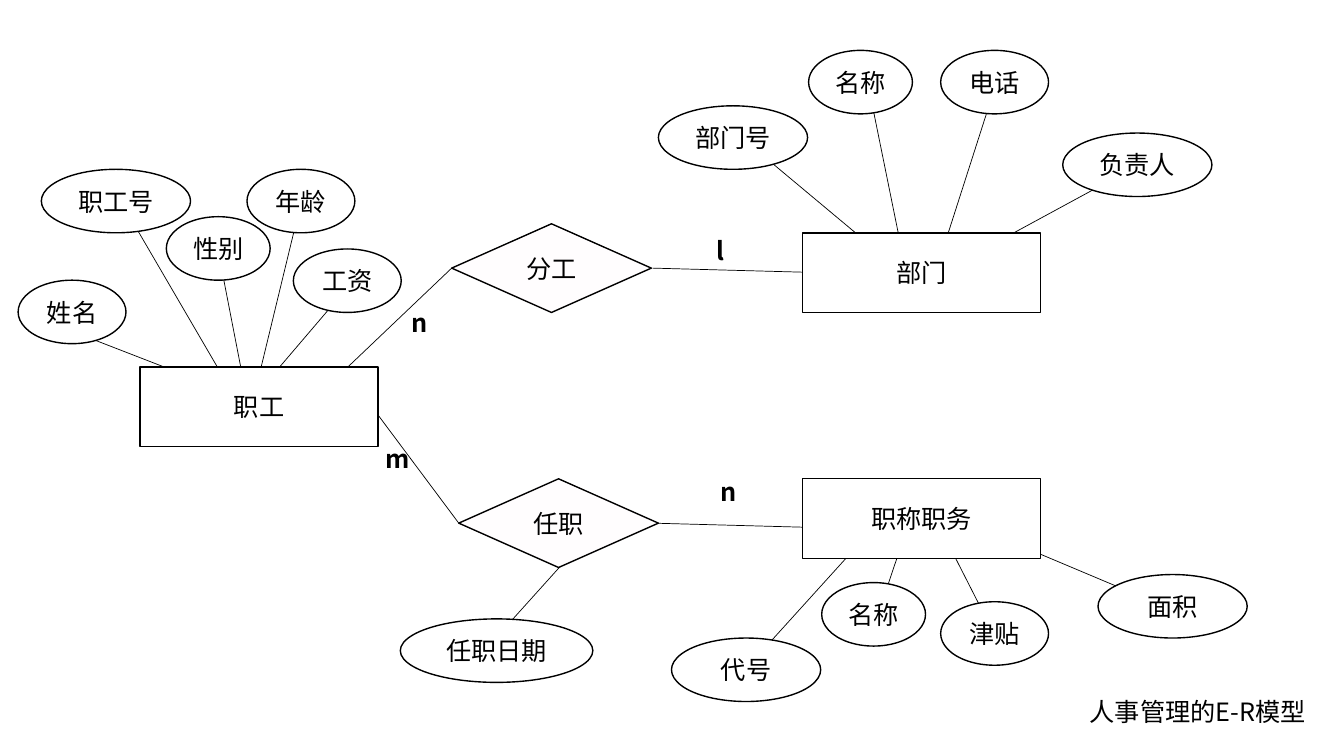
"""Draw the E-R model of a personnel management system."""
from lxml.etree import SubElement
from pptx import Presentation
from pptx.dml.color import RGBColor
from pptx.enum.shapes import MSO_CONNECTOR, MSO_SHAPE
from pptx.enum.text import MSO_ANCHOR, MSO_AUTO_SIZE, PP_ALIGN
from pptx.oxml.ns import qn
from pptx.util import Pt

EMU_PER_PX = 9144
SLIDE_SIZE = (1333, 750)
ENTITY_SIZE = (236, 79)
RELATION_SIZE = (198, 88)
ATTRIBUTE_HEIGHT = 63
LABEL_HEIGHT = 40

ENTITIES = [("职工", 139, 364), ("部门", 796, 231), ("职称职务", 796, 475)]
RELATIONS = [("分工", 448, 222), ("任职", 455, 475)]
ATTRIBUTES = [
    ("职工号", 41, 168, 148, (233, 394), (117, 195)),
    ("性别", 165, 215, 103, (244, 391), (216, 247)),
    ("年龄", 245, 168, 107, (253, 389), (299, 199)),
    ("工资", 291, 247, 107, (251, 395), (361, 266)),
    ("姓名", 18, 278, 107, (227, 389), (80, 332)),
    ("任职日期", 397, 614, 191, (588, 526), (480, 646)),
    ("部门号", 653, 105, 148, (900, 274), (730, 132)),
    ("名称", 802, 50, 103, (899, 271), (860, 79)),
    ("电话", 933, 50, 107, (928, 270), (987, 86)),
    ("负责人", 1054, 132, 148, (930, 272), (1129, 164)),
    ("代号", 666, 633, 148, (877, 512), (743, 660)),
    ("名称", 815, 578, 103, (902, 517), (872, 606)),
    ("津贴", 933, 597, 107, (927, 513), (985, 627)),
    ("面积", 1089, 570, 148, (954, 517), (1163, 605)),
]
RELATION_LINKS = [
    ((342, 367), (448, 266)),
    ((355, 385), (455, 519)),
    ((647, 266), (796, 270)),
    ((647, 519), (796, 523)),
]
CARDINALITIES = [
    ("n", 398, 300, 35),
    ("m", 373, 435, 44),
    ("l", 701, 229, 33),
    ("n", 705, 468, 33),
]


def px(length):
    """Convert pixels to EMU."""
    return length * EMU_PER_PX


class Diagram:
    """Hold the style and the slide, and draw the diagram's elements."""

    colours = {"ink": "000000", "paper": "FFFFFF", "relation": "FFFDFE"}
    font = "Noto Sans CJK SC"
    text_size = 18

    def __init__(self, deck):
        """Add a blank slide."""
        self.slide = deck.slides.add_slide(deck.slide_layouts[6])

    def colour(self, name):
        """Look up a colour."""
        return RGBColor.from_string(self.colours[name])

    def set_words(self, frame, words, bold=False):
        """Put styled words in a text frame."""
        frame.text = words
        run = frame.paragraphs[0].runs[0]
        run.font.size = Pt(self.text_size)
        run.font.bold = bold
        run.font.color.rgb = self.colour("ink")
        run.font.name = self.font
        properties = run._r.get_or_add_rPr()
        SubElement(properties, qn("a:ea")).set("typeface", self.font)

    def link(self, start, end):
        """Draw a thin straight line."""
        line = self.slide.shapes.add_connector(
            MSO_CONNECTOR.STRAIGHT, *map(px, start + end))
        line.line.color.rgb = self.colour("ink")
        line.line.width = Pt(0.5)
        SubElement(line._element.spPr, qn("a:effectLst"))

    def node(self, kind, words, left, top, size, fill="paper"):
        """Draw an outlined shape with centred words."""
        node = self.slide.shapes.add_shape(kind, *map(px, (left, top) + size))
        node.shadow.inherit = False
        node.fill.solid()
        node.fill.fore_color.rgb = self.colour(fill)
        node.line.color.rgb = self.colour("ink")
        node.line.width = Pt(1)
        self.set_words(node.text_frame, words)
        node.text_frame.word_wrap = False
        node.text_frame.vertical_anchor = MSO_ANCHOR.MIDDLE
        node.text_frame.paragraphs[0].alignment = PP_ALIGN.CENTER

    def label(self, words, left, top, width, bold=False):
        """Place words in a box that grows with them."""
        label = self.slide.shapes.add_textbox(
            *map(px, (left, top, width, LABEL_HEIGHT)))
        self.set_words(label.text_frame, words, bold)
        label.text_frame.word_wrap = True
        label.text_frame.auto_size = MSO_AUTO_SIZE.SHAPE_TO_FIT_TEXT


def main():
    """Build and save the slide."""
    deck = Presentation()
    deck.slide_width, deck.slide_height = map(px, SLIDE_SIZE)
    diagram = Diagram(deck)
    for *_, start, end in ATTRIBUTES:
        diagram.link(start, end)
    for start, end in RELATION_LINKS:
        diagram.link(start, end)
    for name, left, top in ENTITIES:
        diagram.node(MSO_SHAPE.RECTANGLE, name, left, top, ENTITY_SIZE)
    for name, left, top, width, *_ in ATTRIBUTES:
        diagram.node(MSO_SHAPE.OVAL, name, left, top, (width, ATTRIBUTE_HEIGHT))
    for name, left, top in RELATIONS:
        diagram.node(MSO_SHAPE.DIAMOND, name, left, top, RELATION_SIZE, "relation")
    for cardinality in CARDINALITIES:
        diagram.label(*cardinality, bold=True)
    diagram.label("人事管理的E-R模型", 1071, 686, 244)
    deck.save("out.pptx")


if __name__ == "__main__":
    main()
